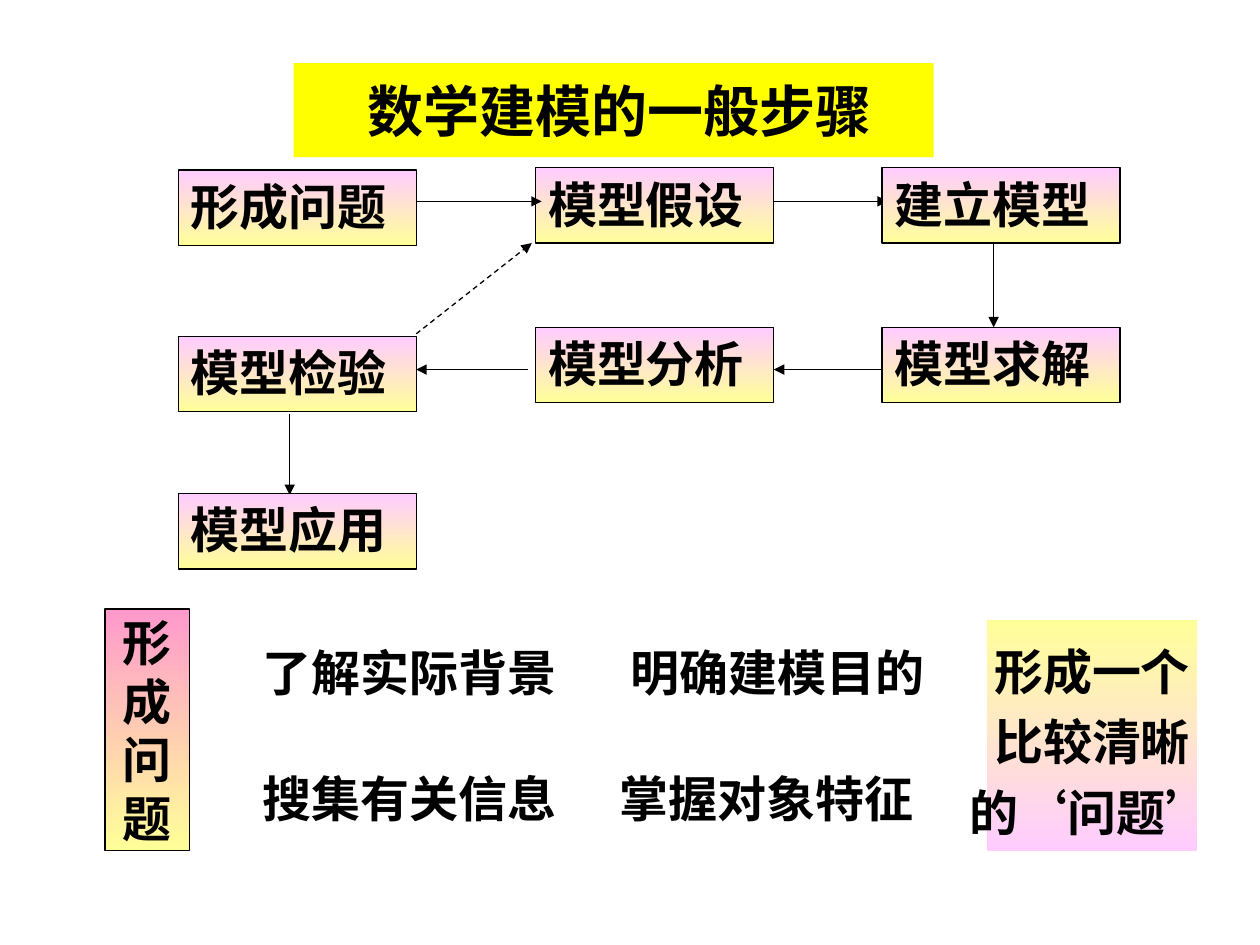
from dataclasses import dataclass

from lxml.etree import SubElement
from pptx import Presentation
from pptx.dml.color import RGBColor
from pptx.enum.dml import MSO_LINE
from pptx.enum.shapes import MSO_CONNECTOR, MSO_SHAPE
from pptx.enum.text import MSO_ANCHOR, MSO_AUTO_SIZE, PP_ALIGN
from pptx.oxml.ns import qn
from pptx.util import Cm, Pt

CJK = "Noto Sans CJK SC"
LATIN = "Times New Roman"
BLACK, YELLOW = "000000", "FFFF00"
PINK, ROSE, CREAM = "FFCCFF", "FF99CC", "FFFF99"
STEP_WIDTH, STEP_HEIGHT = 4.8, 1.52
LEFT, MIDDLE, RIGHT = 3.6, 10.8, 17.78

FRAME_FORMAT = {
    "auto_size": MSO_AUTO_SIZE.NONE,
    "margin_left": Cm(0.25),
    "margin_right": Cm(0.25),
    "margin_top": Cm(0.13),
    "margin_bottom": Cm(0.13),
}


@dataclass(frozen=True)
class Panel:
    lines: tuple[str, ...]
    x: float
    y: float
    width: float = STEP_WIDTH
    height: float = STEP_HEIGHT
    gradient: tuple[str, ...] = ()
    outlined: bool = False
    font: str = LATIN
    wrap: bool = False
    align: PP_ALIGN = PP_ALIGN.CENTER
    anchor: MSO_ANCHOR = MSO_ANCHOR.MIDDLE
    spacing: float = 1.0


@dataclass(frozen=True)
class Arrow:
    x1: float
    y1: float
    x2: float
    y2: float
    dashed: bool = False


def color(value: str) -> RGBColor:
    return RGBColor.from_string(value)


def apply(target, values: dict) -> None:
    for name, value in values.items():
        setattr(target, name, value)


def write(shape, panel: Panel, size: float) -> None:
    frame = shape.text_frame
    frame.text = "\n".join(panel.lines)
    apply(frame, FRAME_FORMAT | {"word_wrap": panel.wrap, "vertical_anchor": panel.anchor})
    for paragraph in frame.paragraphs:
        apply(paragraph, {"alignment": panel.align, "line_spacing": panel.spacing})
        for run in paragraph.runs:
            apply(run.font, {"name": panel.font, "size": Pt(size), "bold": True})
            run.font.color.rgb = color(BLACK)
            latin = run.font._element.find(qn("a:latin"))
            east_asian = SubElement(run.font._element, qn("a:ea"), typeface=CJK)
            latin.addnext(east_asian)


def draw_panel(slide, panel: Panel) -> None:
    box = [Cm(value) for value in (panel.x, panel.y, panel.width, panel.height)]
    if panel.gradient:
        shape = slide.shapes.add_shape(MSO_SHAPE.RECTANGLE, *box)
        shape.shadow.inherit = False
        shape.fill.gradient()
        shape.fill.gradient_angle = 270
        for stop, value in zip(shape.fill.gradient_stops, panel.gradient):
            stop.color.rgb = color(value)
        if panel.outlined:
            shape.line.color.rgb = color(BLACK)
            shape.line.width = Pt(0.75)
        else:
            shape.line.fill.background()
    else:
        shape = slide.shapes.add_textbox(*box)
    write(shape, panel, 28)


def draw_arrow(slide, arrow: Arrow) -> None:
    ends = [Cm(value) for value in (arrow.x1, arrow.y1, arrow.x2, arrow.y2)]
    connector = slide.shapes.add_connector(MSO_CONNECTOR.STRAIGHT, *ends)
    connector.line.color.rgb = color(BLACK)
    connector.line.width = Pt(0.75)
    if arrow.dashed:
        connector.line.dash_style = MSO_LINE.DASH
    properties = connector._element.spPr
    SubElement(properties.find(qn("a:ln")), qn("a:tailEnd"), type="triangle")
    SubElement(properties, qn("a:effectLst"))


def draw_title(slide, heading: Panel) -> None:
    title = slide.shapes.title
    apply(title, {
        "left": Cm(heading.x),
        "top": Cm(heading.y),
        "width": Cm(heading.width),
        "height": Cm(heading.height),
    })
    title.fill.solid()
    title.fill.fore_color.rgb = color(YELLOW)
    write(title, heading, 32)
    title.text_frame.margin_left = Cm(0.5)


def step(label: str, x: float, y: float) -> Panel:
    return Panel((label,), x, y, gradient=(PINK, CREAM), outlined=True, wrap=True,
                 align=PP_ALIGN.JUSTIFY, anchor=MSO_ANCHOR.TOP)


def task(label: str, x: float, y: float) -> Panel:
    return Panel((label,), x, y, 6.35, 1.7, font=CJK)


HEADING = Panel(("数学建模的一般步骤",), 5.92, 1.27, 12.9, 1.9, font=CJK, wrap=True)

ARROWS = (
    Arrow(15.6, 4.06, 17.9, 4.06),
    Arrow(20.03, 4.9, 20.03, 6.6),
    Arrow(17.76, 7.45, 15.6, 7.45),
    Arrow(10.64, 7.45, 8.39, 7.45),
    Arrow(5.84, 8.35, 5.84, 9.98),
    Arrow(8.39, 6.73, 10.72, 4.9, dashed=True),
)
ARROW_TO_ASSUMPTION = Arrow(8.39, 4.06, 10.92, 4.06)

STEPS = (
    step("形成问题", LEFT, 3.43),
    step("模型假设", MIDDLE, 3.38),
    step("建立模型", RIGHT, 3.38),
    step("模型求解", RIGHT, 6.6),
    step("模型分析", MIDDLE, 6.6),
    step("模型检验", LEFT, 6.78),
    step("模型应用", LEFT, 9.95),
)

PROBLEM_FORMATION = (
    Panel(tuple("形成问题"), 2.12, 12.28, 1.7, 4.87, (ROSE, CREAM), outlined=True),
    task("了解实际背景", 5.08, 12.7),
    task("明确建模目的", 12.5, 12.7),
    task("搜集有关信息", 5.08, 15.24),
    task("掌握对象特征", 12.28, 15.24),
    Panel(("形成一个", "比较清晰", "的‘问题’"), 19.9, 12.49, 4.23, 4.66, (CREAM, PINK),
          spacing=1.2),
)


def main() -> None:
    presentation = Presentation()
    apply(presentation, {"slide_width": Cm(25.4), "slide_height": Cm(19.05)})
    slide = presentation.slides.add_slide(presentation.slide_layouts[5])
    draw_title(slide, HEADING)
    for arrow in ARROWS:
        draw_arrow(slide, arrow)
    for panel in STEPS + PROBLEM_FORMATION:
        draw_panel(slide, panel)
    draw_arrow(slide, ARROW_TO_ASSUMPTION)
    presentation.save("out.pptx")


if __name__ == "__main__":
    main()
